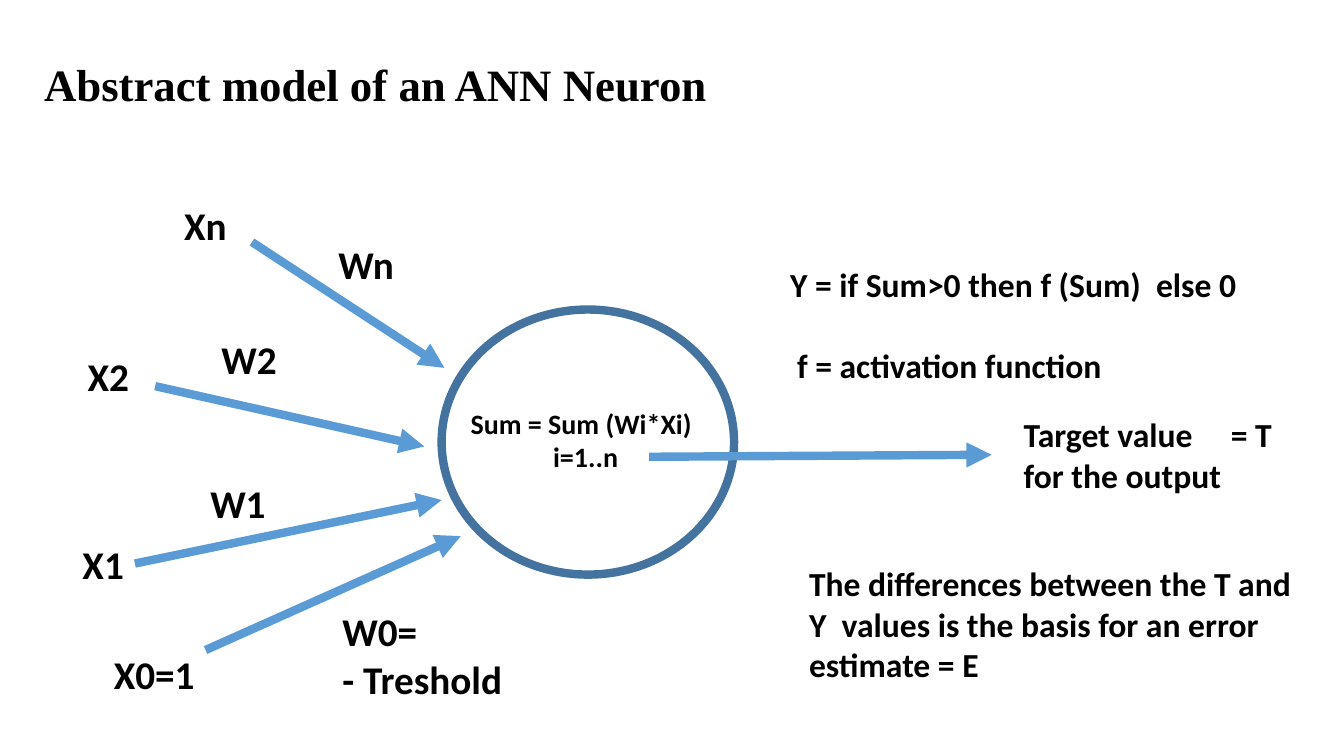
from dataclasses import dataclass

from pptx import Presentation
from pptx.dml.color import RGBColor
from pptx.enum.shapes import MSO_CONNECTOR, MSO_SHAPE
from pptx.oxml.ns import qn
from pptx.slide import Slide
from pptx.util import Cm, Pt
from lxml.etree import SubElement


@dataclass(frozen=True)
class Theme:
    text: RGBColor = RGBColor(0, 0, 0)
    paper: RGBColor = RGBColor(0xFF, 0xFF, 0xFF)
    arrow: RGBColor = RGBColor(0x5B, 0x9B, 0xD5)
    outline: RGBColor = RGBColor(0x43, 0x73, 0x9E)
    title_font: str = "Times New Roman"
    body_font: str = "Calibri"
    title_size: int = 32
    label_size: int = 28
    note_size: int = 24
    formula_size: int = 20
    stroke: int = 6


THEME = Theme()


@dataclass(frozen=True)
class Box:
    """A frame in centimetres."""
    left: float
    top: float
    width: float
    height: float = 1.45


@dataclass(frozen=True)
class Label:
    text: str
    box: Box


@dataclass(frozen=True)
class Arrow:
    start: tuple[float, float]
    end: tuple[float, float]


LABELS = [
    Label("X0=1", Box(2.62, 16.26, 2.57)),
    Label("X1", Box(1.83, 13.49, 1.57)),
    Label("X2", Box(1.96, 8.76, 1.57)),
    Label("Xn", Box(4.39, 4.95, 1.6)),
    Label("W0=\n- Treshold", Box(8.38, 15.19, 4.57, 2.64)),
    Label("W1", Box(5.05, 11.96, 1.93)),
    Label("W2", Box(5.33, 8.33, 1.93)),
    Label("Wn", Box(8.28, 5.94, 1.93)),
]

ARROWS = [
    Arrow((6.35, 6.1), (11.2, 9.27)),
    Arrow((3.4, 14.2), (11.13, 12.6)),
    Arrow((3.91, 9.73), (10.69, 11.25)),
    Arrow((16.36, 11.51), (24.99, 11.46)),
    Arrow((5.18, 16.38), (11.61, 13.51)),
]


def add_text(slide: Slide, text: str, box: Box, *, size: int,
             font: str = THEME.body_font, wrap: bool = True,
             second_indent: float = 0, second_gap: float = 0,
             tab: float = 0) -> None:
    """Write one paragraph per line; indent and tab are in cm, gap in points."""
    frame = slide.shapes.add_textbox(
        Cm(box.left), Cm(box.top), Cm(box.width), Cm(box.height)).text_frame
    frame.word_wrap = wrap
    for index, line in enumerate(text.split("\n")):
        paragraph = frame.add_paragraph() if index else frame.paragraphs[0]
        run = paragraph.add_run()
        run.text = line
        run.font.name = font
        run.font.size = Pt(size)
        run.font.bold = True
        run.font.color.rgb = THEME.text
        properties = paragraph._p.get_or_add_pPr()
        if index:
            paragraph.space_before = Pt(second_gap)
            properties.set("marL", str(Cm(second_indent)))
        if "\t" in line:
            stops = SubElement(properties, qn("a:tabLst"))
            SubElement(stops, qn("a:tab"), pos=str(Cm(tab)), algn="l")


def add_arrow(slide: Slide, arrow: Arrow) -> None:
    connector = slide.shapes.add_connector(
        MSO_CONNECTOR.STRAIGHT, *map(Cm, arrow.start + arrow.end))
    connector.line.color.rgb = THEME.arrow
    connector.line.width = Pt(THEME.stroke)
    SubElement(connector.line._get_or_add_ln(), qn("a:tailEnd"), type="triangle")
    SubElement(connector._element.spPr, qn("a:effectLst"))


def add_neuron(slide: Slide, box: Box) -> None:
    neuron = slide.shapes.add_shape(
        MSO_SHAPE.OVAL, Cm(box.left), Cm(box.top), Cm(box.width), Cm(box.height))
    neuron.shadow.inherit = False
    neuron.fill.solid()
    neuron.fill.fore_color.rgb = THEME.paper
    neuron.line.color.rgb = THEME.outline
    neuron.line.width = Pt(THEME.stroke)


def main() -> None:
    presentation = Presentation()
    presentation.slide_width = Cm(33.87)
    presentation.slide_height = Cm(19.05)
    slide = presentation.slides.add_slide(presentation.slide_layouts[6])

    add_text(slide, "Abstract model of an ANN Neuron", Box(0.86, 1.3, 32.74, 1.63),
             size=THEME.title_size, font=THEME.title_font)
    add_neuron(slide, Box(11.13, 7.8, 7.37, 6.68))
    for arrow in ARROWS:
        add_arrow(slide, arrow)
    for label in LABELS:
        add_text(slide, label.text, label.box, size=THEME.label_size, wrap=False)

    add_text(slide, "Y = if Sum>0 then f (Sum)  else 0\nf = activation function",
             Box(19.66, 6.53, 13.16, 3.33), size=THEME.note_size,
             second_indent=0.18, second_gap=29)
    add_text(slide, "Sum = Sum (Wi*Xi)\ni=1..n", Box(11.61, 10.11, 6.4, 1.96),
             size=THEME.formula_size, second_indent=2.08)
    add_text(slide, "The differences between the T and Y  values is the basis "
             "for an error estimate = E", Box(20.14, 14.07, 12.67, 3.33),
             size=THEME.note_size)
    add_text(slide, "Target value\t= T\nfor the output", Box(25.55, 10.31, 7, 2.31),
             size=THEME.note_size, tab=5.22)

    presentation.save("out.pptx")


if __name__ == "__main__":
    main()
